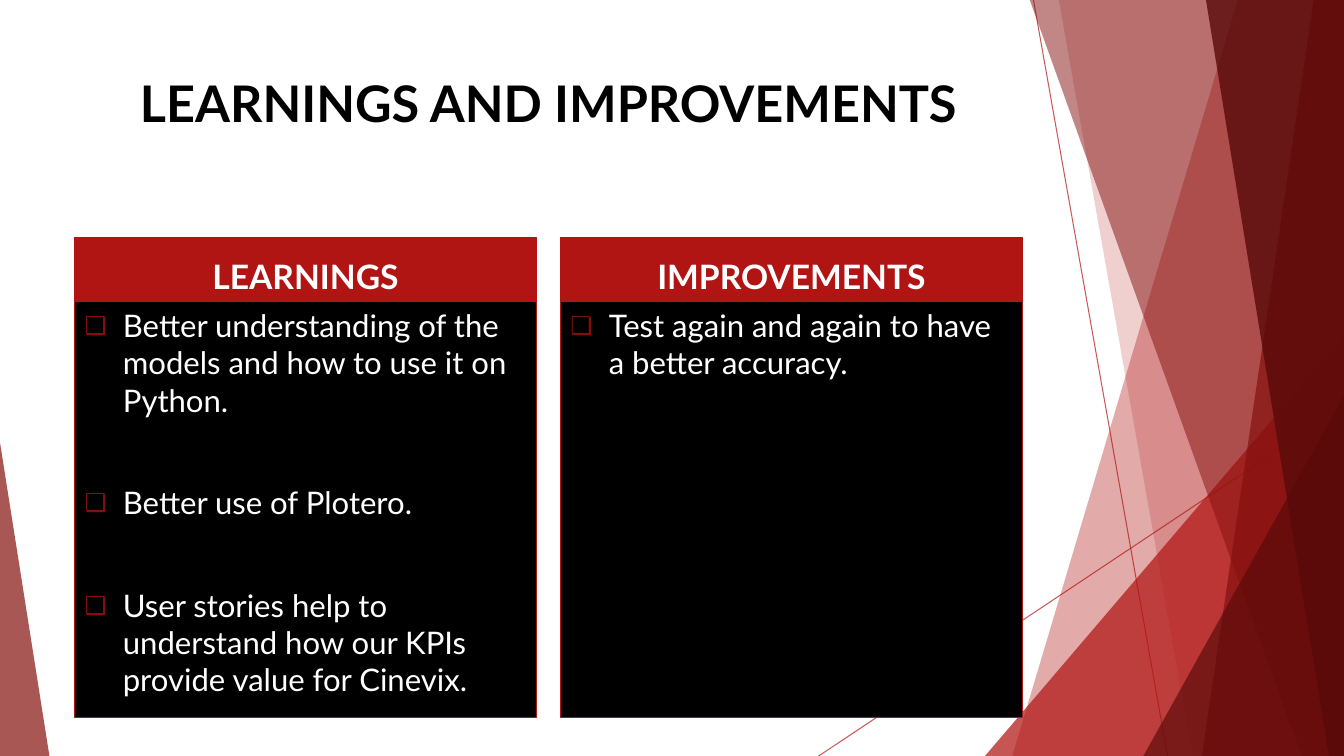
import dataclasses

import pptx
import pptx.dml.color
import pptx.enum.dml
import pptx.enum.shapes
import pptx.enum.text
import pptx.oxml
import pptx.oxml.ns
import pptx.util

Inches = pptx.util.Inches
Pt = pptx.util.Pt
Align = pptx.enum.text.PP_ALIGN
Anchor = pptx.enum.text.MSO_ANCHOR


@dataclasses.dataclass(frozen=True)
class Theme:
    font: str = "Lato"
    red: str = "B01513"
    dark_red: str = "84100E"
    deep_red: str = "580A09"
    black: str = "000000"
    white: str = "FFFFFF"
    title_size: float = 36
    header_size: float = 24
    body_size: float = 22.2
    line_width: float = 0.75
    bullet_gap: float = 46.6


THEME = Theme()
WIDTH, HEIGHT = 13.33, 7.5
BLEED_TOP = -0.01
COLUMN_WIDTH = 4.58
COLUMN_LEFT = 0.74
COLUMN_STEP = 4.82
HEADER_TOP, HEADER_HEIGHT = 2.36, 0.63
BODY_HEIGHT = 4.13

RAY_LINES = [((10.25, 0), (11.58, 7.5)), ((13.33, 4.03), (8.12, 7.5))]
BANDS = [
    (12.28, 10.04, THEME.red, 36),
    (10.5, 11.83, THEME.red, 20),
]
FRONT_BANDS = [
    (10.21, 12.91, THEME.dark_red, 50),
    (13.03, 11.92, THEME.dark_red, 70),
    (11.96, 13.18, THEME.deep_red, 80),
]
COLUMNS = [
    ("LEARNINGS", [
        "Better understanding of the models and how to use it on Python.",
        "Better use of Plotero.",
        "User stories help to understand how our KPIs provide value for Cinevix.",
    ]),
    ("IMPROVEMENTS", ["Test again and again to have a better accuracy."]),
]


def rgb(color):
    return pptx.dml.color.RGBColor.from_string(color)


def append_xml(parent, tag, **attributes):
    child = pptx.oxml.parse_xml(f"<a:{tag} {pptx.oxml.ns.nsdecls('a')}/>")
    for name, value in attributes.items():
        child.set(name, str(value))
    parent.append(child)
    return child


def set_opacity(element, percent):
    color = element.find(".//" + pptx.oxml.ns.qn("a:srgbClr"))
    append_xml(color, "alpha", val=percent * 1000)


def fill_glass(shape, color, opacity):
    shape.shadow.inherit = False
    shape.fill.solid()
    shape.fill.fore_color.rgb = rgb(color)
    set_opacity(shape.element.spPr, opacity)
    shape.line.fill.background()


def add_ray(slide, start, end):
    points = [Inches(value) for value in (*start, *end)]
    connector = slide.shapes.add_connector(
        pptx.enum.shapes.MSO_CONNECTOR.STRAIGHT, *points)
    connector.line.color.rgb = rgb(THEME.red)
    connector.line.width = Pt(THEME.line_width)
    set_opacity(connector.element.spPr, 70)
    append_xml(connector.element.spPr, "effectLst")


def add_band(slide, top_x, bottom_x, color, opacity):
    builder = slide.shapes.build_freeform(Inches(top_x), Inches(BLEED_TOP))
    corners = [(WIDTH, BLEED_TOP), (WIDTH, HEIGHT), (bottom_x, HEIGHT)]
    builder.add_line_segments([(Inches(x), Inches(y)) for x, y in corners])
    fill_glass(builder.convert_to_shape(), color, opacity)


def add_triangle(slide, left, top, width, apex, color, opacity):
    triangle = slide.shapes.add_shape(
        pptx.enum.shapes.MSO_SHAPE.ISOSCELES_TRIANGLE,
        Inches(left), Inches(top), Inches(width), Inches(HEIGHT - top))
    triangle.adjustments[0] = apex
    fill_glass(triangle, color, opacity)


def add_run(paragraph, text, size, color, bold=False):
    run = paragraph.add_run()
    run.text = text
    run.font.name = THEME.font
    run.font.size = Pt(size)
    run.font.bold = bold
    run.font.color.rgb = rgb(color)


def set_bullet(paragraph):
    properties = paragraph._p.get_or_add_pPr()
    properties.set("marL", str(Inches(0.38)))
    properties.set("indent", str(-Inches(0.38)))
    bullet_color = append_xml(properties, "buClr")
    append_xml(bullet_color, "srgbClr", val=THEME.dark_red)
    append_xml(properties, "buSzPct", val=80000)
    append_xml(properties, "buFont", typeface=THEME.font)
    append_xml(properties, "buChar", char="\u2751")


def add_panel(slide, left, top, height, color, anchor):
    panel = slide.shapes.add_shape(
        pptx.enum.shapes.MSO_SHAPE.RECTANGLE,
        Inches(left), Inches(top), Inches(COLUMN_WIDTH), Inches(height))
    panel.shadow.inherit = False
    panel.fill.solid()
    panel.fill.fore_color.rgb = rgb(color)
    panel.line.color.rgb = rgb(THEME.red)
    panel.line.width = Pt(THEME.line_width)
    panel.text_frame.word_wrap = True
    panel.text_frame.vertical_anchor = anchor
    return panel.text_frame


def add_column(slide, left, heading, items):
    header = add_panel(slide, left, HEADER_TOP, HEADER_HEIGHT, THEME.red, Anchor.BOTTOM)
    header.paragraphs[0].alignment = Align.CENTER
    add_run(header.paragraphs[0], heading, THEME.header_size, THEME.white, True)

    body = add_panel(slide, left, HEADER_TOP + HEADER_HEIGHT, BODY_HEIGHT,
                     THEME.black, Anchor.TOP)
    for index, item in enumerate(items):
        paragraph = body.add_paragraph() if index else body.paragraphs[0]
        paragraph.alignment = Align.LEFT
        paragraph.space_before = Pt(THEME.bullet_gap if index else 0)
        set_bullet(paragraph)
        add_run(paragraph, item, THEME.body_size, THEME.white)


def set_title(slide, text):
    title = slide.shapes.title
    title.element.getparent().append(title.element)
    title.left, title.top = Inches(COLUMN_LEFT), Inches(0.67)
    title.width, title.height = Inches(9.4), Inches(1.44)
    title.text_frame.word_wrap = True
    title.text_frame.vertical_anchor = Anchor.TOP
    paragraph = title.text_frame.paragraphs[0]
    paragraph.alignment = Align.CENTER
    add_run(paragraph, text, THEME.title_size, THEME.black, True)


def add_backdrop(slide):
    for start, end in RAY_LINES:
        add_ray(slide, start, end)
    for band in BANDS:
        add_band(slide, *band)
    add_triangle(slide, 9.77, 3.33, 3.56, 1, THEME.red, 72)
    for band in FRONT_BANDS:
        add_band(slide, *band)
    add_triangle(slide, 11.34, 3.93, 1.99, 1, THEME.deep_red, 66)
    add_triangle(slide, 0, 4.39, 0.49, 0, THEME.dark_red, 70)


def main():
    presentation = pptx.Presentation()
    presentation.slide_width = Inches(WIDTH)
    presentation.slide_height = Inches(HEIGHT)
    slide = presentation.slides.add_slide(presentation.slide_layouts[5])
    add_backdrop(slide)
    set_title(slide, "LEARNINGS AND IMPROVEMENTS")
    for index, (heading, items) in enumerate(COLUMNS):
        add_column(slide, COLUMN_LEFT + index * COLUMN_STEP, heading, items)
    presentation.save("out.pptx")


main()
